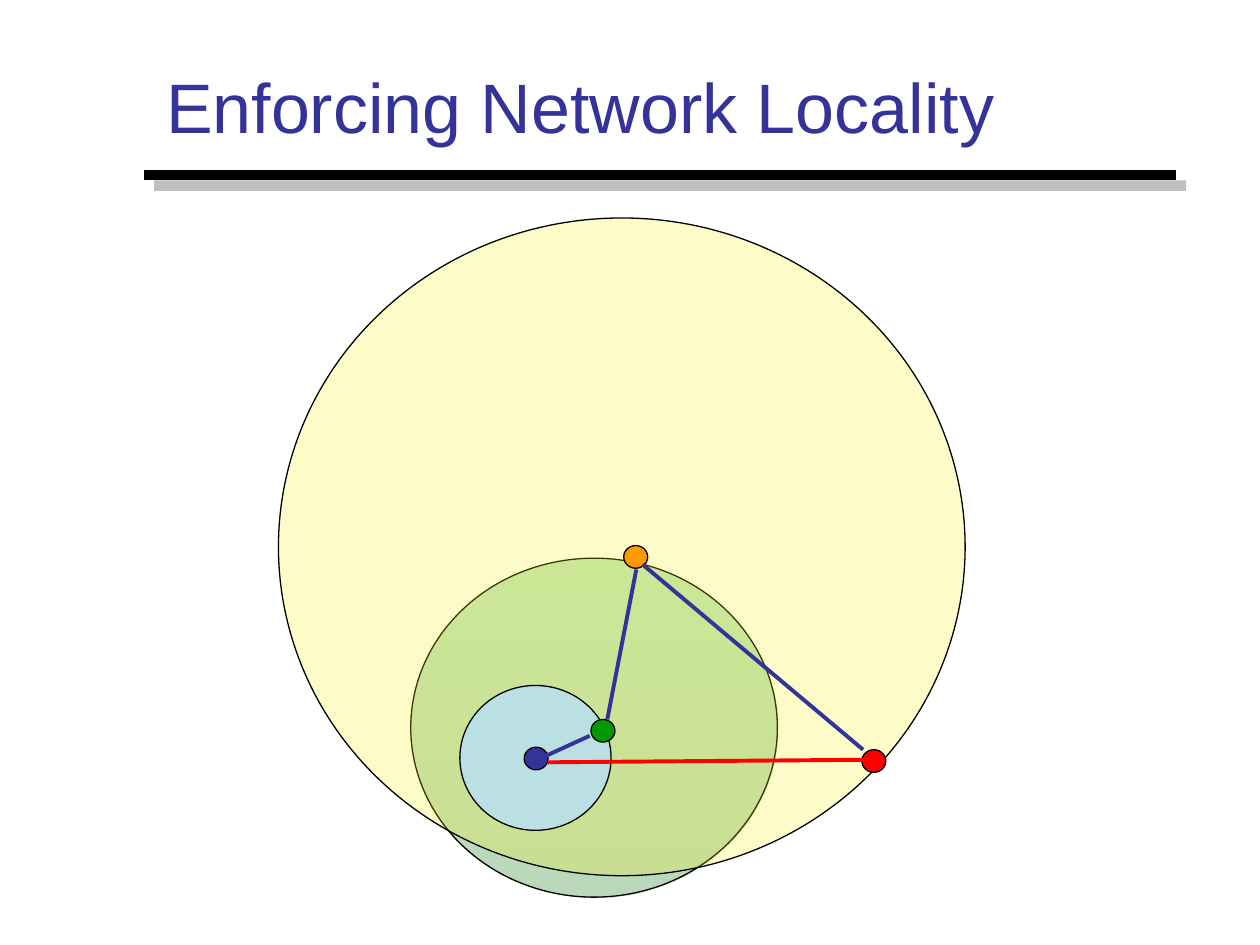
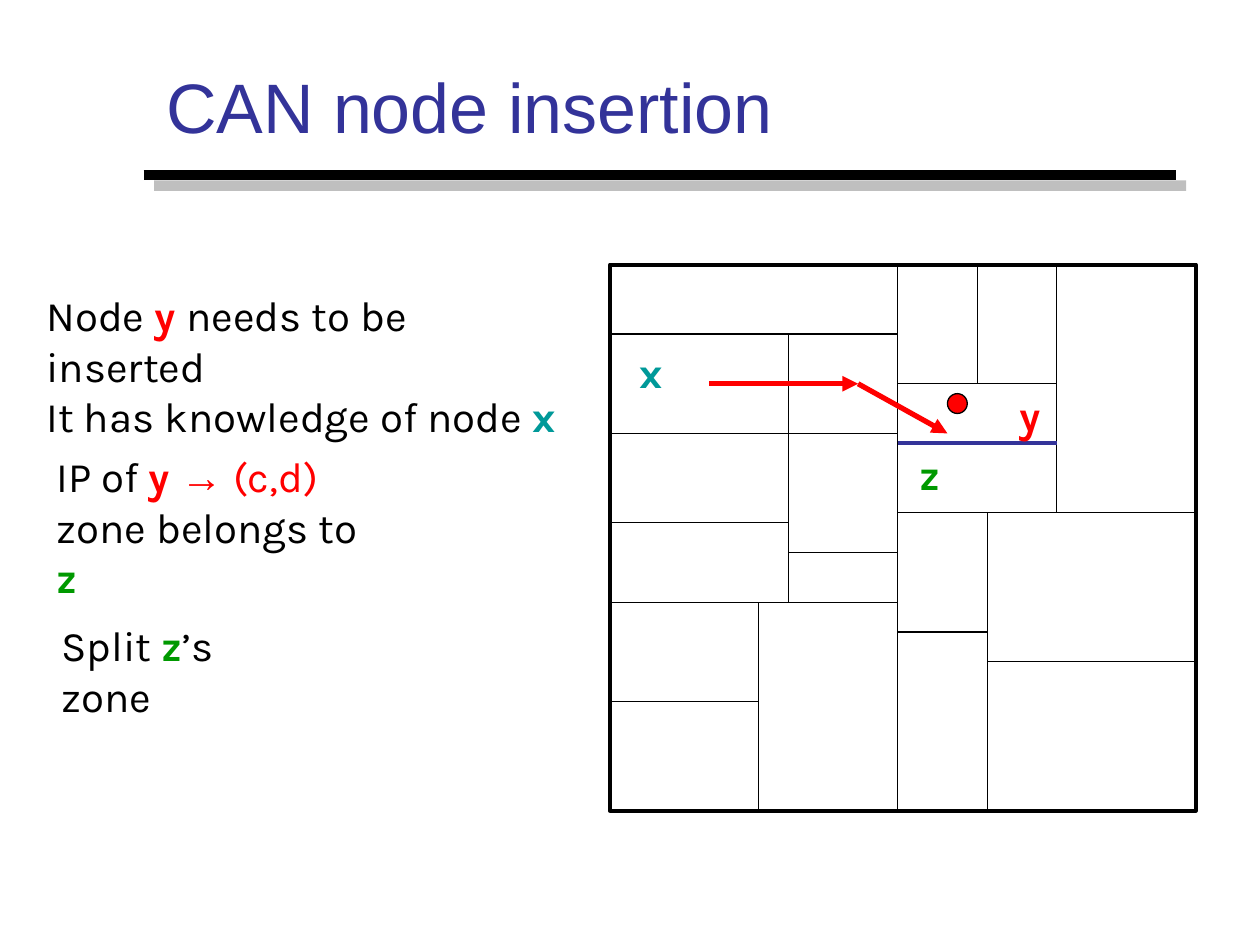
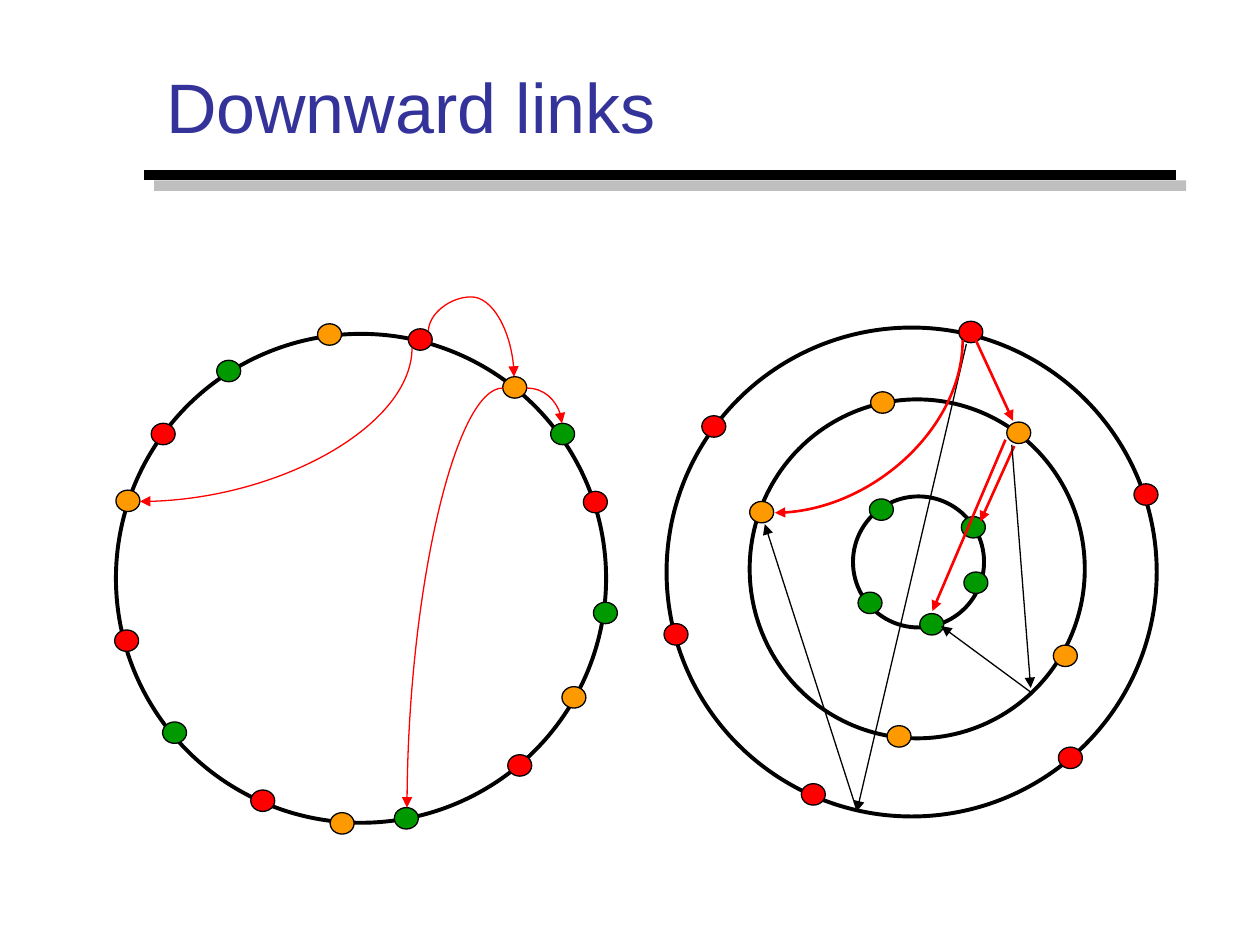
import pptx
import pptx.util
import pptx.dml.color
import pptx.enum.shapes
import pptx.enum.text
import pptx.oxml.ns
import lxml.etree

RGB = pptx.dml.color.RGBColor
SHAPE = pptx.enum.shapes.MSO_SHAPE
CONNECTOR = pptx.enum.shapes.MSO_CONNECTOR
ANCHOR = pptx.enum.text.MSO_ANCHOR
qn = pptx.oxml.ns.qn

BLACK = RGB(0x00, 0x00, 0x00)
INDIGO = RGB(0x33, 0x33, 0x99)
RED = RGB(0xFF, 0x00, 0x00)
GREEN = RGB(0x00, 0x99, 0x00)
DARK_GREEN = RGB(0x00, 0x6D, 0x00)
ORANGE = RGB(0xFF, 0x99, 0x00)
TEAL = RGB(0x00, 0x99, 0x99)
YELLOW = RGB(0xF9, 0xF4, 0x15)
PALE_BLUE = RGB(0xBB, 0xE0, 0xE3)

deck = pptx.Presentation()
deck.slide_width = pptx.util.Inches(10)
deck.slide_height = pptx.util.Inches(7.5)
# All places and sizes are in hundredths of the slide's width
UNIT = deck.slide_width / 100


def write(slide, box, paragraphs, size=24, font="Karla", color=BLACK, anchor=ANCHOR.TOP):
    """Each paragraph is a list of (text, overrides) runs."""
    frame = slide.shapes.add_textbox(*[round(v * UNIT) for v in box]).text_frame
    frame.word_wrap = True
    frame.vertical_anchor = anchor
    for index, runs in enumerate(paragraphs):
        paragraph = frame.paragraphs[0] if index == 0 else frame.add_paragraph()
        for text, overrides in runs:
            run = paragraph.add_run()
            run.text = text
            run.font.size = pptx.util.Pt(size)
            run.font.name = overrides.get("font", font)
            run.font.bold = overrides.get("bold", False)
            run.font.color.rgb = overrides.get("color", color)


def connect(slide, start, end, color=BLACK, width=0.75, arrow=False, curve=None, turn=0, bend=None):
    """Straight line, or a curved preset turned by some degrees."""
    kind = CONNECTOR.CURVE if curve else CONNECTOR.STRAIGHT
    line = slide.shapes.add_connector(kind, *[round(v * UNIT) for v in (*start, *end)])
    line.line.color.rgb = color
    line.line.width = pptx.util.Pt(width)
    properties = line._element.spPr
    if curve:
        geometry = properties.find(qn("a:prstGeom"))
        geometry.set("prst", curve)
        properties.find(qn("a:xfrm")).set("rot", str(turn * 60000))
        if bend is not None:
            guides = geometry.get_or_add_avLst()
            lxml.etree.SubElement(guides, qn("a:gd"), name="adj1", fmla=f"val {bend}")
    if arrow:
        lxml.etree.SubElement(properties.find(qn("a:ln")), qn("a:tailEnd"), type="triangle")
    return lxml.etree.SubElement(properties, qn("a:effectLst"))


# Shared title and ruled band
slides = []
for title in ("Enforcing Network Locality", "CAN node insertion", "Downward links"):
    slide = deck.slides.add_slide(deck.slide_layouts[6])
    effects = connect(slide, (11.4, 13.9), (93.3, 13.9), width=6)
    shadow = lxml.etree.SubElement(effects, qn("a:outerShdw"), dist=str(pptx.util.Pt(8.5)),
                                   dir=str(45 * 60000), algn="ctr", rotWithShape="0")
    shade = lxml.etree.SubElement(shadow, qn("a:srgbClr"), val="808080")
    lxml.etree.SubElement(shade, qn("a:alpha"), val="50000")
    write(slide, (12.2, 3.6, 84.3, 9.5), [[(title, {})]],
          size=40, font="Arial", color=INDIGO, anchor=ANCHOR.MIDDLE)
    slides.append(slide)
locality, insertion, downward = slides

# Zone grid of the insertion slide
COLUMNS, ROWS = 59, 55
CELL = 46.5 / COLUMNS
zone_x = [48.4 + CELL * column for column in range(COLUMNS + 1)]
zone_y = [21 + CELL * row for row in range(ROWS + 1)]

# Circles: slide, box, fill colours, opacities in percent, line width
circles = [
    (locality, (32.6, 44.3, 29.1, 26.9), (GREEN, DARK_GREEN), (26, 27), 0.75),
    (locality, (22.1, 17.3, 54.5, 52.2), (YELLOW,), (23,), 0.75),
    (locality, (36.5, 54.4, 12, 11.5), (PALE_BLUE,), (), 0.75),
    (insertion, (zone_x[34], zone_y[13], 2 * CELL, 2 * CELL), (RED,), (), 0.75),
    (downward, (67.7, 39.4, 10.4, 10.4), (), (), 2.25),
    (downward, (59.5, 31.7, 26.6, 26.9), (), (), 2.25),
    (downward, (52.9, 26, 38.9, 38.8), (), (), 2.25),
    (downward, (9.2, 26.5, 38.9, 38.8), (), (), 2.25),
]

# Nodes: slide, height, colour, left and top of each
node_groups = [
    (locality, 1.8, INDIGO, [(41.6, 59.3)]),
    (locality, 1.8, GREEN, [(46.9, 57.1)]),
    (locality, 1.8, ORANGE, [(49.5, 43.3)]),
    (locality, 1.8, RED, [(68.4, 59.5)]),
    # Nested rings, from the outside in
    (downward, 1.7, RED, [(76.1, 25.5), (90, 38.4), (84, 59.3), (63.6, 62.2),
                          (52.7, 49.5), (55.7, 33)]),
    (downward, 1.7, ORANGE, [(69.1, 31.1), (79.9, 33.5), (83.6, 51.2), (70.4, 57.6),
                             (59.5, 39.8)]),
    (downward, 1.7, GREEN, [(69, 39.6), (76.3, 41), (76.5, 45.4), (73, 48.7), (68.1, 47)]),
    # Single ring
    (downward, 1.7, RED, [(32.4, 26.1), (46.3, 39), (40.3, 59.9), (19.9, 62.7),
                          (9.1, 50), (12, 33.6)]),
    (downward, 1.7, ORANGE, [(25.2, 25.7), (39.9, 29.9), (44.6, 54.5), (26.2, 64.5),
                             (9.2, 38.9)]),
    (downward, 1.7, GREEN, [(17.2, 28.6), (43.7, 33.6), (47.1, 47.8), (31.3, 64.1),
                            (12.9, 57.3)]),
]
for slide, height, color, corners in node_groups:
    circles += [(slide, (*corner, 1.9, height), (color,), (), 0.75) for corner in corners]

for slide, box, fills, opacities, width in circles:
    circle = slide.shapes.add_shape(SHAPE.OVAL, *[round(v * UNIT) for v in box])
    circle.shadow.inherit = False
    if len(fills) == 2:
        circle.fill.gradient()
        circle.fill.gradient_angle = 270
        for stop, color in zip(circle.fill.gradient_stops, fills):
            stop.color.rgb = color
    elif fills:
        circle.fill.solid()
        circle.fill.fore_color.rgb = fills[0]
    else:
        circle.fill.background()
    tints = circle._element.spPr.findall(".//" + qn("a:srgbClr"))
    for tint, opacity in zip(tints, opacities):
        lxml.etree.SubElement(tint, qn("a:alpha"), val=str(opacity * 1000))
    circle.line.color.rgb = BLACK
    circle.line.width = pptx.util.Pt(width)

# Locality: hops between nodes, and the direct route
for start, end, color in [
    ((43.3, 60), (46.8, 58.4), INDIGO),
    ((48.2, 57.1), (50.5, 45.2), INDIGO),
    ((51, 44.8), (68.5, 59.5), INDIGO),
    ((43.5, 60.5), (68.7, 60.3), RED),
]:
    connect(locality, start, end, color, 2.25)

# Insertion: outer frame and zone borders as column, row to column, row
frame = insertion.shapes.add_shape(SHAPE.RECTANGLE, *[
    round(v * UNIT) for v in (zone_x[0], zone_y[0], COLUMNS * CELL, ROWS * CELL)])
frame.shadow.inherit = False
frame.fill.background()
frame.line.color.rgb = BLACK
frame.line.width = pptx.util.Pt(2.25)

borders = [
    (29, 0, 29, 55), (0, 7, 29, 7), (29, 25, 59, 25), (45, 0, 45, 25),
    (29, 12, 45, 12), (37, 0, 37, 12), (38, 25, 38, 55), (38, 40, 59, 40),
    (0, 34, 29, 34), (15, 34, 15, 55), (0, 44, 15, 44), (29, 37, 38, 37),
    (18, 7, 18, 34), (0, 26, 18, 26), (0, 17, 29, 17), (18, 29, 29, 29),
]
zone_lines = [(border, {}) for border in borders] + [
    ((10, 12, 25, 12), dict(color=RED, width=3, arrow=True)),
    ((25, 12, 34, 17), dict(color=RED, width=3, arrow=True)),
    ((29, 18, 45, 18), dict(color=INDIGO, width=2.25)),
]
for (left, top, right, bottom), style in zone_lines:
    connect(insertion, (zone_x[left], zone_y[top]), (zone_x[right], zone_y[bottom]), **style)

# Insertion: steps and zone owners
node_x = dict(color=TEAL, bold=True)
node_y = dict(color=RED, bold=True)
node_z = dict(color=GREEN, bold=True)
for box, paragraphs in [
    ((2.7, 22.5, 43.7, 9), [
        [("Node ", {}), ("y ", node_y), ("needs to be inserted", {})],
        [("It has knowledge of node ", {}), ("x", node_x)]]),
    ((3.5, 35.3, 28, 9), [
        [("IP of ", {}), ("y ", node_y),
         ("→ ", dict(color=RED, font="Times New Roman")), ("(c,d)", dict(color=RED))],
        [("zone belongs to ", {}), ("z", node_z)]]),
    ((3.9, 48.7, 21.3, 5), [[("Split ", {}), ("z", node_z), ("’s zone", {})]]),
    ((49.8, 27, 4, 5), [[("x", node_x)]]),
    ((72, 35.1, 3.8, 5), [[("z", node_z)]]),
    ((79.9, 30.4, 3.9, 5), [[("y", node_y)]]),
]:
    write(insertion, box, paragraphs)

# Downward: straight links, red for direct and black for routed
for start, end, color, width in [
    ((77.4, 26.9), (80.4, 33.4), RED, 1.5),
    ((76.7, 27.3), (68, 64.4), BLACK, 0.75),
    ((68, 64.3), (60.7, 41.6), BLACK, 0.75),
    ((80.5, 35.4), (77.8, 41.4), RED, 1.5),
    ((80.3, 35.3), (81.8, 54.6), BLACK, 0.75),
    ((81.9, 55), (74.7, 49.7), BLACK, 0.75),
    ((79.8, 34.9), (74, 48.5), RED, 1.5),
]:
    connect(downward, start, end, color, width, arrow=True)

# Downward: curved links, given before they are turned
for start, end, width, curve, turn, bend in [
    ((62.1, 26.4), (75.8, 41.3), 1.5, "curvedConnector2", 90, None),
    ((35.6, 31.5), (39.2, 24.7), 0.75, "curvedConnector3", 90, -76100),
    ((15.8, 22.9), (28, 44.5), 0.75, "curvedConnector2", 90, None),
    ((41.8, 30.8), (44.6, 33.6), 0.75, "curvedConnector2", 0, None),
    ((32.3, 64.1), (39.9, 30.8), 0.75, "curvedConnector2", 180, None),
]:
    connect(downward, start, end, RED, width, arrow=True, curve=curve, turn=turn, bend=bend)

deck.save("out.pptx")
